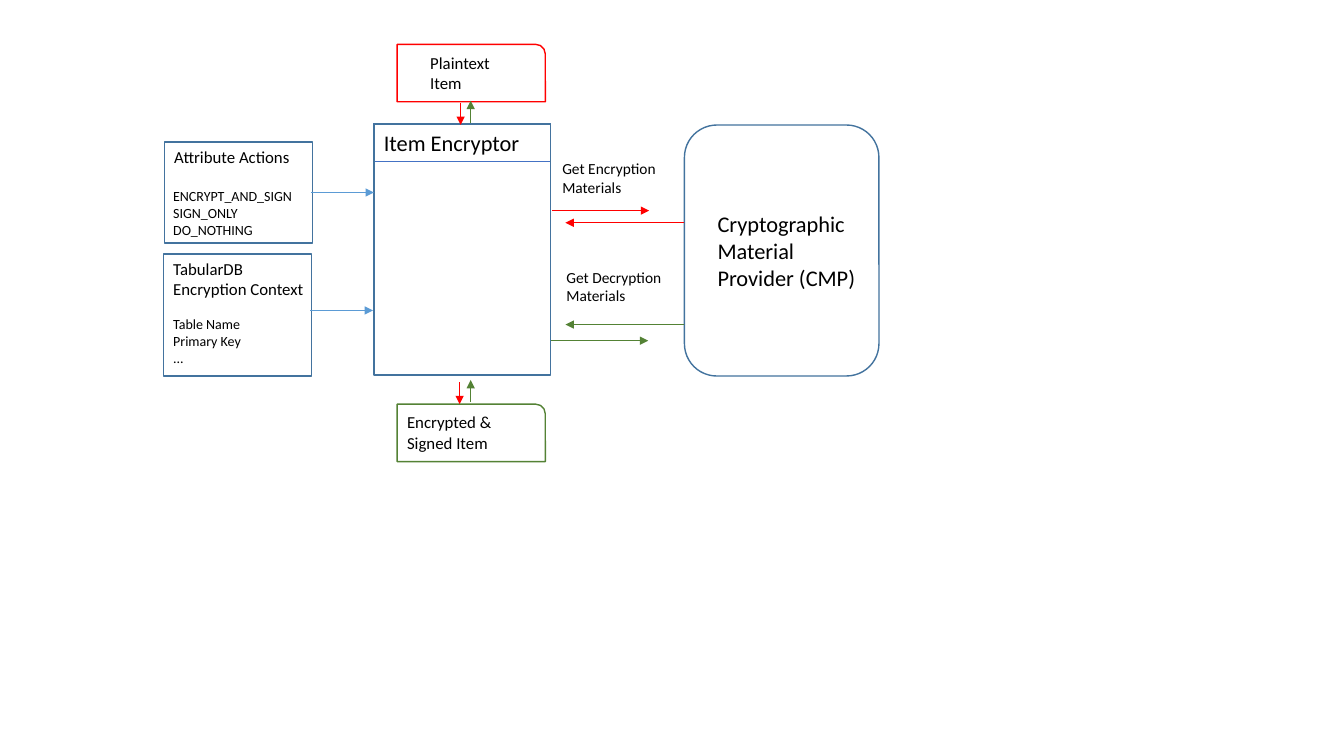
from lxml.etree import SubElement
from pptx import Presentation
from pptx.dml.color import RGBColor
from pptx.enum.shapes import MSO_CONNECTOR as Link, MSO_SHAPE as Kind
from pptx.enum.text import MSO_ANCHOR as Anchor, PP_ALIGN as Align
from pptx.oxml.ns import qn
from pptx.util import Inches, Pt

THEME = {
    "font": "Calibri",
    "ink": "000000", "frame": "43739E", "head": "4472C4", "input": "5B9BD5",
    "plain": "FF0000", "cipher": "548235",
    "title": 16, "label": 12, "call": 11, "list": 10,
    "box": 1, "rule": 0.75, "arrow": 0.5,
}

# Grid: 100 columns and rows to the inch-tenth pitch below
CELL = 0.1
SIZE = (133.33, 75)

# Shared edges, in grid cells
CORE_L, CORE_T, CORE_W, CORE_H = 37.1, 12.3, 17.5, 24.9
CORE_R = CORE_L + CORE_W
CMP_L = 67.9
ITEM_L, ITEM_W, ITEM_H = 39.4, 14.7, 5.7
SIDE_L, SIDE_W = 16.2, 14.7
DOWN, UP, BACK = 45.7, 46.7, 56.1

# Boxes: shape, place, line colour, line width
BOXES = [
    (Kind.ROUNDED_RECTANGLE, (CMP_L, 12.4, 19.3, CORE_H), "frame", "box"),
    (Kind.ROUND_1_RECTANGLE, (ITEM_L, 4.4, ITEM_W, ITEM_H), "plain", "box"),
    (Kind.ROUND_1_RECTANGLE, (ITEM_L, 40.1, ITEM_W, ITEM_H), "cipher", "box"),
    (Kind.RECTANGLE, (SIDE_L + 0.1, 14.1, SIDE_W, 10), "frame", "box"),
    (Kind.RECTANGLE, (SIDE_L, 25.2, SIDE_W, 12.1), "frame", "box"),
    (Kind.RECTANGLE, (CORE_L, CORE_T, CORE_W, CORE_H), "frame", "box"),
]
HEAD = (Kind.RECTANGLE, (CORE_L, CORE_T, CORE_W, 3.7), "head", "rule")

# Texts: words (\n new paragraph, \v line break), place, size, wrap
TEXTS = [
    ("Cryptographic\nMaterial\nProvider (CMP)", (70.2, 20.4, 16.4, 17.8), "title", True),
    ("Plaintext\vItem", (41.7, 4.7, 8, 5), "label", False),
    ("Attribute Actions", (SIDE_L + 0.1, 14.1, 13.9, 3), "label", True),
    ("ENCRYPT_AND_SIGN\vSIGN_ONLY\vDO_NOTHING", (SIDE_L, 18.1, 14, 6.1), "list", False),
    ("TabularDB Encryption Context", (SIDE_L, 25.2, 15.5, 5), "label", True),
    ("Table Name\vPrimary Key\v...", (SIDE_L, 30.8, 9.2, 6.1), "list", False),
    ("Get Encryption\vMaterials", (54.8, 15.3, 11.4, 4.7), "call", False),
    ("Get Decryption\vMaterials", (55.2, 26.1, 11.5, 4.7), "call", False),
    ("Encrypted &\vSigned Item", (ITEM_L, 40.4, 10.4, 5), "label", False),
]

# Arrows: start, end, colour
ARROWS = [
    ((DOWN, 10.2), (DOWN, 12.4), "plain"),
    ((UP, 12.2), (UP, 10), "cipher"),
    ((30.9, 19.1), (CORE_L, 19.1), "input"),
    ((30.8, 30.8), (37, 30.8), "input"),
    ((CORE_R + 0.2, 20.9), (64.4, 20.9), "plain"),
    ((CMP_L, 22.1), (BACK, 22.1), "plain"),
    ((CMP_L, 32.2), (BACK, 32.2), "cipher"),
    ((CORE_R + 0.1, 33.8), (64.3, 33.8), "cipher"),
    ((DOWN - 0.1, 37.9), (DOWN - 0.1, 40.1), "plain"),
    ((UP, 39.9), (UP, 37.7), "cipher"),
]


def cells(vals):
    return [Inches(val * CELL) for val in vals]


def tint(name):
    return RGBColor.from_string(THEME[name])


def stroke(line, hue, width):
    line.color.rgb = tint(hue)
    line.width = Pt(THEME[width])


def write(frame, words, size, wrap=True):
    look = {"name": THEME["font"], "size": Pt(THEME[size]), "bold": False}
    for key, val in {"word_wrap": wrap, "vertical_anchor": Anchor.TOP, "text": words}.items():
        setattr(frame, key, val)
    for para in frame.paragraphs:
        para.alignment = Align.LEFT
        for run in para.runs:
            for key, val in look.items():
                setattr(run.font, key, val)
            run.font.color.rgb = tint("ink")
        # Line breaks take the size of the text around them
        for gap in para._p.findall(qn("a:br")):
            SubElement(gap, qn("a:rPr"), sz=str(THEME[size] * 100))


def box(slide, kind, place, hue, width):
    shape = slide.shapes.add_shape(kind, *cells(place))
    shape.shadow.inherit = False
    shape.fill.background()
    stroke(shape.line, hue, width)
    return shape


def arrow(slide, start, end, hue):
    link = slide.shapes.add_connector(Link.STRAIGHT, *cells(start + end))
    stroke(link.line, hue, "arrow")
    props = link._element.spPr
    SubElement(props.find(qn("a:ln")), qn("a:tailEnd"), type="triangle")
    SubElement(props, qn("a:effectLst"))


def main():
    deck = Presentation()
    deck.slide_width, deck.slide_height = cells(SIZE)
    slide = deck.slides.add_slide(deck.slide_layouts[6])

    # Encryptor heading, then the boxes
    write(box(slide, *HEAD).text_frame, "Item Encryptor", "title")
    for item in BOXES:
        box(slide, *item)

    # Labels and lists
    for words, place, size, wrap in TEXTS:
        area = slide.shapes.add_textbox(*cells(place))
        write(area.text_frame, words, size, wrap)

    # Data flow
    for item in ARROWS:
        arrow(slide, *item)

    deck.save("out.pptx")


if __name__ == "__main__":
    main()
